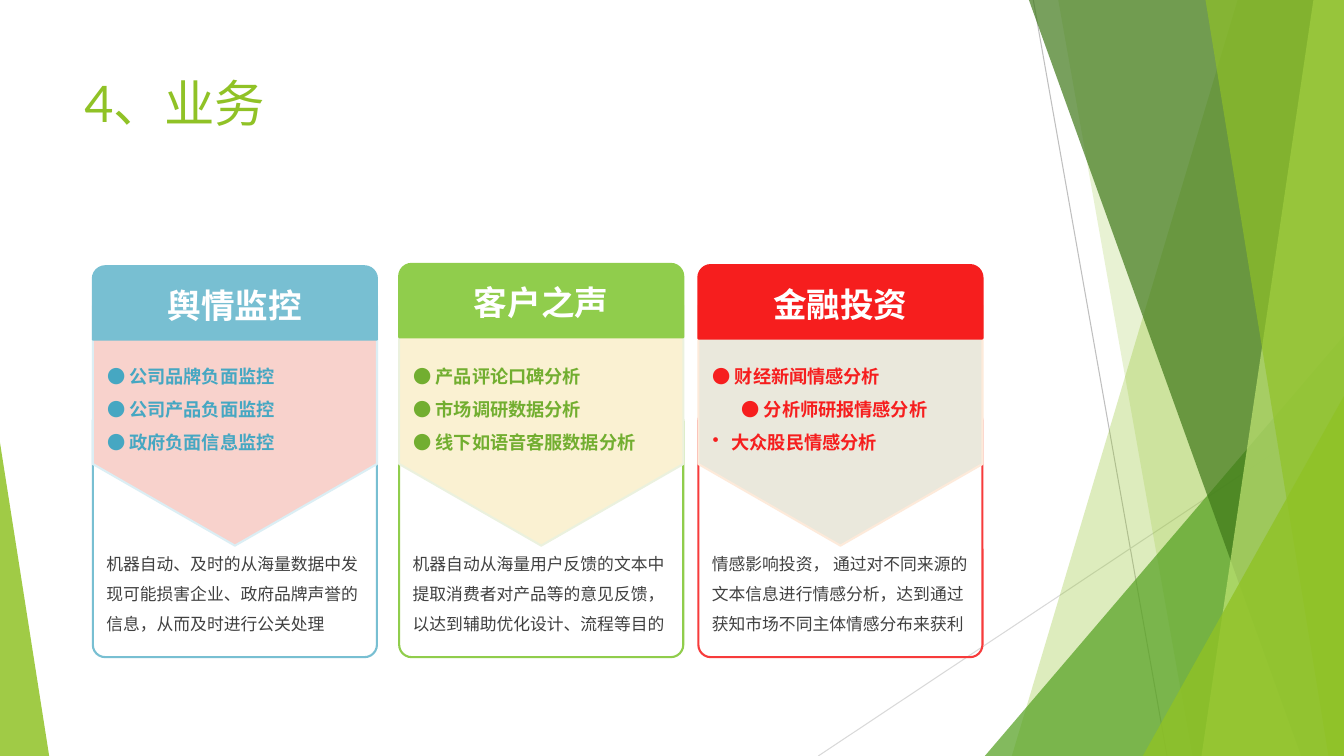
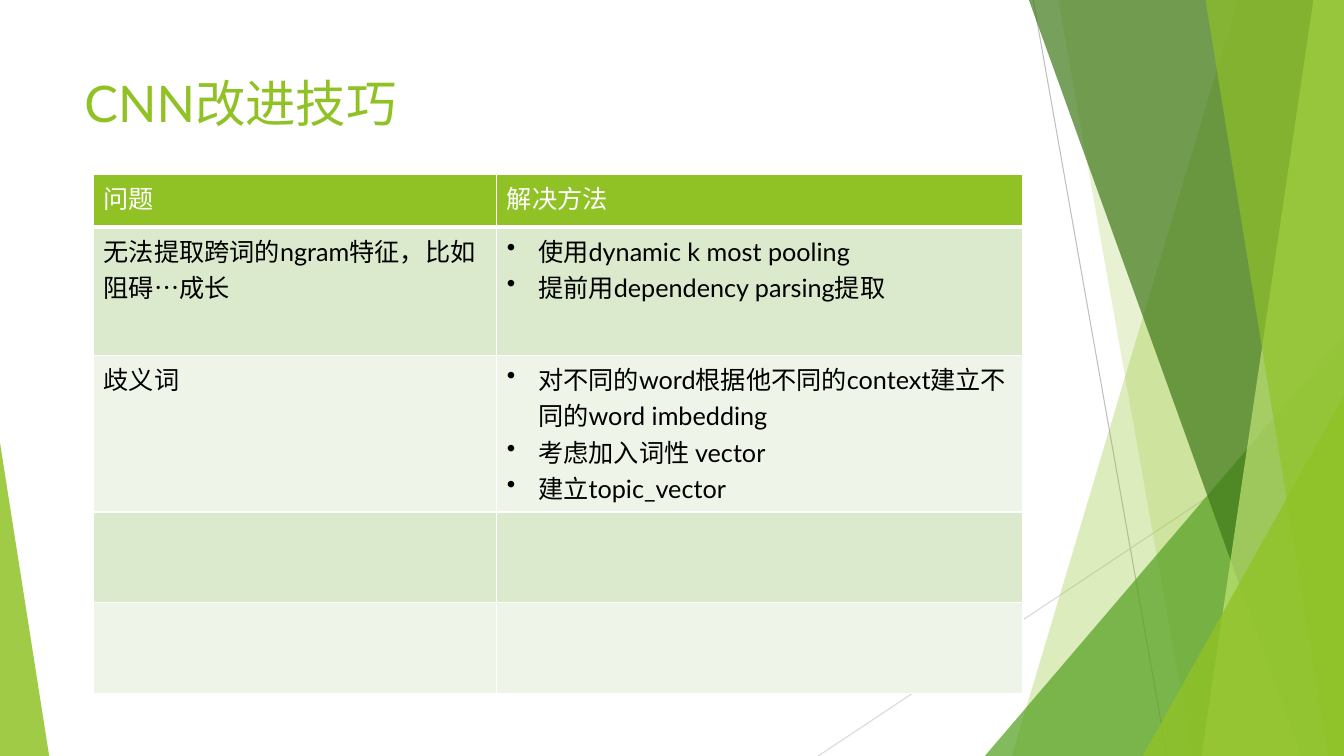
from lxml.etree import SubElement
from pptx import Presentation
from pptx.dml.color import RGBColor
from pptx.enum.shapes import MSO_CONNECTOR, MSO_SHAPE as SHAPE
from pptx.enum.text import MSO_ANCHOR as ANCHOR, PP_ALIGN as ALIGN
from pptx.oxml.ns import qn
from pptx.util import Cm, Pt

# Shared fonts, colours and sizes (centimetres)
SANS, SERIF, CJK = "Lato", "TeX Gyre Schola", "Noto Sans CJK SC"
GREEN = RGBColor(0x90, 0xC2, 0x26)
MID_GREEN = RGBColor(0x54, 0xA0, 0x21)
DARK_GREEN = RGBColor(0x3F, 0x78, 0x19)
PALE_GREEN = RGBColor(0xC0, 0xE4, 0x74)
GREY = RGBColor(0xBF, 0xBF, 0xBF)
LIGHT_GREY = RGBColor(0xD9, 0xD9, 0xD9)
TEXT_GREY = RGBColor(0x40, 0x40, 0x40)
WHITE = RGBColor(0xFF, 0xFF, 0xFF)
BLACK = RGBColor(0, 0, 0)
ROW_DARK = RGBColor(0xDB, 0xE9, 0xCD)
ROW_LIGHT = RGBColor(0xEE, 0xF4, 0xE8)
WIDTH, HEIGHT = 33.87, 19.05

# Backdrop: lines, then bands (top x, bottom x) and corner triangles
RAYS = [((26.04, 0), (29.41, HEIGHT), GREY),
        ((WIDTH, 10.24), (20.62, HEIGHT), LIGHT_GREY)]
BACKDROP = [
    ("band", 31.19, 25.5, GREEN, 30),
    ("band", 26.67, 30.05, GREEN, 20),
    ("triangle", (24.82, 8.46, 9.05), 1, MID_GREEN, 72),
    ("band", 25.93, 32.79, DARK_GREEN, 70),
    ("band", 33.1, 30.28, PALE_GREEN, 70),
    ("band", 30.38, 33.48, GREEN, 65),
    ("triangle", (28.8, 9.98, 5.07), 1, GREEN, 80),
    ("triangle", (0, 11.15, 1.24), 0, GREEN, 85),
]

# Slide 1: each list item is (text, left margin, hanging bullet or None)
BUSINESS_TITLE = "4、业务"
CARDS = [
    dict(left=2.34, header_top=6.71, heading="舆情监控", list_font=SERIF,
         main=RGBColor(0x78, 0xBF, 0xD2), frame=RGBColor(0x78, 0xBF, 0xD2),
         arrow=RGBColor(0xF8, 0xD2, 0xCC), arrow_edge=RGBColor(0xDB, 0xEE, 0xF4),
         list_color=RGBColor(0x46, 0xA7, 0xC2),
         items=[("● 公司品牌负面监控", 0, None),
                ("● 公司产品负面监控", 0, None),
                ("● 政府负面信息监控", 0, None)],
         body="机器自动、及时的从海量数据中发现可能损害企业、政府品牌声誉的信息，"
              "从而及时进行公关处理"),
    dict(left=10.06, header_top=6.65, heading="客户之声", list_font=CJK,
         main=RGBColor(0x90, 0xCD, 0x4C), frame=RGBColor(0x90, 0xCD, 0x4C),
         arrow=RGBColor(0xFA, 0xF1, 0xD2), arrow_edge=RGBColor(0xEB, 0xF1, 0xDE),
         list_color=RGBColor(0x72, 0xAE, 0x30),
         items=[("● 产品评论口碑分析", 0, None),
                ("● 市场调研数据分析", 0, None),
                ("● 线下如语音客服数据分析", 0, None)],
         body="机器自动从海量用户反馈的文本中提取消费者对产品等的意见反馈，"
              "以达到辅助优化设计、流程等目的"),
    dict(left=17.6, header_top=6.68, heading="金融投资", list_font=CJK,
         main=RGBColor(0xF6, 0x1E, 0x1E), frame=RGBColor(0xF7, 0x3B, 0x3B),
         arrow=RGBColor(0xEA, 0xE8, 0xDC), arrow_edge=RGBColor(0xFD, 0xEA, 0xDA),
         list_color=RGBColor(0xF6, 0x1E, 0x1E),
         items=[("● 财经新闻情感分析", 0, None),
                ("● 分析师研报情感分析", 0.73, None),
                ("大众股民情感分析", 0.48, "•")],
         body="情感影响投资， 通过对不同来源的文本信息进行情感分析，"
              "达到通过获知市场不同主体情感分布来获利"),
]
CARD_WIDTH, HEADER_HEIGHT = 7.16, 1.85
FRAME_TOP, FRAME_HEIGHT = 10.31, 6.25
ARROW_TOP, ARROW_HEIGHT = 7.7, 6.05
LIST_TOP, LIST_HEIGHT = 8.79, 2.77

# Slide 2
CNN_TITLE = "CNN改进技巧"
COLUMN_WIDTHS = [10.16, 13.26]
ROW_HEIGHTS = [1.32, 3.23, 3.95, 2.29, 2.29]
ROWS = [
    (["问题"], ["解决方法"]),
    (["无法提取跨词的ngram特征，比如", "阻碍…成长"],
     ["使用dynamic k most pooling", "提前用dependency parsing提取"]),
    (["歧义词"],
     ["对不同的word根据他不同的context建立不同的word imbedding",
      "考虑加入词性 vector", "建立topic_vector"]),
    ([], []),
    ([], []),
]


def style(paragraph, text, size, color, font=SANS, bold=False):
    paragraph.text = text
    paragraph.font.size = Pt(size)
    paragraph.font.bold = bold
    paragraph.font.color.rgb = color
    paragraph.font.name = font
    defaults = paragraph._p.pPr.find(qn("a:defRPr"))
    SubElement(defaults, qn("a:ea"), typeface=CJK)


def indent(paragraph, margin, bullet=None):
    properties = paragraph._p.get_or_add_pPr()
    properties.set("marL", str(Cm(margin)))
    if bullet:
        properties.set("indent", str(-Cm(margin)))
        character = SubElement(properties, qn("a:buChar"), char=bullet)
        properties.insert(0, character)
        # Line spacing, when set later, is placed ahead of the bullet


def paragraphs_for(frame, count):
    return [frame.paragraphs[0]] + [frame.add_paragraph() for _ in range(count - 1)]


def paint(shape, fill=None, line=None, opacity=None):
    shape.shadow.inherit = False
    if fill is None:
        shape.fill.background()
    else:
        shape.fill.solid()
        shape.fill.fore_color.rgb = fill
    if opacity is not None:
        color = shape._element.spPr.find(qn("a:solidFill"))[0]
        SubElement(color, qn("a:alpha"), val=str(opacity * 1000))
    if line is None:
        shape.line.fill.background()
    else:
        shape.line.color.rgb = line
        shape.line.width = Pt(1.5)


def add_preset(slide, kind, left, top, width, height, adjustments):
    shape = slide.shapes.add_shape(kind, Cm(left), Cm(top), Cm(width), Cm(height))
    for index, value in enumerate(adjustments):
        shape.adjustments[index] = value
    return shape


def add_text_box(slide, left, top, width, height):
    box = slide.shapes.add_textbox(Cm(left), Cm(top), Cm(width), Cm(height))
    box.text_frame.word_wrap = True
    return box.text_frame


def add_backdrop(slide):
    for start, end, color in RAYS:
        ray = slide.shapes.add_connector(
            MSO_CONNECTOR.STRAIGHT, *map(Cm, start), *map(Cm, end))
        ray.line.color.rgb = color
        ray.line.width = Pt(0.75)
        SubElement(ray._element.spPr, qn("a:effectLst"))
    for kind, first, second, color, opacity in BACKDROP:
        if kind == "band":
            builder = slide.shapes.build_freeform(Cm(first), 0)
            corners = [(WIDTH, 0), (WIDTH, HEIGHT), (second, HEIGHT)]
            builder.add_line_segments([(Cm(x), Cm(y)) for x, y in corners])
            shape = builder.convert_to_shape()
        else:
            left, top, width = first
            shape = add_preset(slide, SHAPE.ISOSCELES_TRIANGLE, left, top,
                               width, HEIGHT - top, [second])
        paint(shape, color, opacity=opacity)


def add_titled_slide(presentation, title):
    slide = presentation.slides.add_slide(presentation.slide_layouts[6])
    add_backdrop(slide)
    frame = add_text_box(slide, 1.88, 1.7, 23.88, 3.66)
    style(frame.paragraphs[0], title, 36, GREEN)
    return slide


def add_card(slide, card):
    left = card["left"]
    # Outlined frame with the description at its foot
    frame = add_preset(slide, SHAPE.ROUNDED_RECTANGLE, left, FRAME_TOP,
                       CARD_WIDTH, FRAME_HEIGHT, [0.05])
    paint(frame, line=card["frame"])
    text = frame.text_frame
    text.word_wrap = True
    text.vertical_anchor = ANCHOR.BOTTOM
    text.margin_right, text.margin_bottom = Cm(0.2), Cm(0.5)
    body = text.paragraphs[0]
    style(body, card["body"], 12, TEXT_GREY, SERIF)
    body.alignment = ALIGN.LEFT
    body.line_spacing = Pt(21.3)

    # Arrow turned to point down, so its width and height swap
    shift = (CARD_WIDTH - ARROW_HEIGHT) / 2
    arrow = add_preset(slide, SHAPE.PENTAGON, left + shift, ARROW_TOP - shift,
                       ARROW_HEIGHT, CARD_WIDTH, [0.34])
    arrow.rotation = 90
    paint(arrow, card["arrow"], card["arrow_edge"])

    # List
    text = add_text_box(slide, left + 0.11, LIST_TOP, CARD_WIDTH, LIST_HEIGHT)
    items = card["items"]
    for paragraph, (item, margin, bullet) in zip(paragraphs_for(text, len(items)), items):
        indent(paragraph, margin, bullet)
        style(paragraph, item, 13, card["list_color"], card["list_font"], True)
        paragraph.line_spacing = Pt(23.7)

    # Header
    header = add_preset(slide, SHAPE.ROUND_2_SAME_RECTANGLE, left, card["header_top"],
                        CARD_WIDTH, HEADER_HEIGHT, [0.17, 0])
    paint(header, card["main"], card["main"])
    header.text_frame.vertical_anchor = ANCHOR.MIDDLE
    heading = header.text_frame.paragraphs[0]
    style(heading, card["heading"], 24, WHITE, SERIF, True)
    heading.alignment = ALIGN.CENTER


def add_borders(cell, bottom_width):
    properties = cell._tc.get_or_add_tcPr()
    for side, width in (("L", 1), ("R", 1), ("T", 1), ("B", bottom_width)):
        border = SubElement(properties, qn("a:ln" + side), w=str(Pt(width)))
        fill = SubElement(border, qn("a:solidFill"))
        SubElement(fill, qn("a:srgbClr"), val=str(WHITE))


def add_solutions_table(slide):
    table = slide.shapes.add_table(
        len(ROWS), len(COLUMN_WIDTHS), Cm(2.36), Cm(4.4),
        Cm(sum(COLUMN_WIDTHS)), Cm(sum(ROW_HEIGHTS))).table
    table.first_row = table.horz_banding = False
    for column, width in zip(table.columns, COLUMN_WIDTHS):
        column.width = Cm(width)
    for number, (row, height, texts) in enumerate(zip(table.rows, ROW_HEIGHTS, ROWS)):
        row.height = Cm(height)
        is_header = number == 0
        band = GREEN if is_header else ROW_DARK if number % 2 else ROW_LIGHT
        for column, (cell, lines) in enumerate(zip(row.cells, texts)):
            add_borders(cell, 3 if is_header else 1)
            cell.fill.solid()
            cell.fill.fore_color.rgb = band
            if not lines:
                continue
            for paragraph, line in zip(paragraphs_for(cell.text_frame, len(lines)), lines):
                if column == 1 and not is_header:
                    indent(paragraph, 0.79, "•")
                style(paragraph, line, 18, WHITE if is_header else BLACK)


presentation = Presentation()
presentation.slide_width, presentation.slide_height = Cm(WIDTH), Cm(HEIGHT)

business_slide = add_titled_slide(presentation, BUSINESS_TITLE)
for card in CARDS:
    add_card(business_slide, card)

add_solutions_table(add_titled_slide(presentation, CNN_TITLE))

presentation.save("out.pptx")
